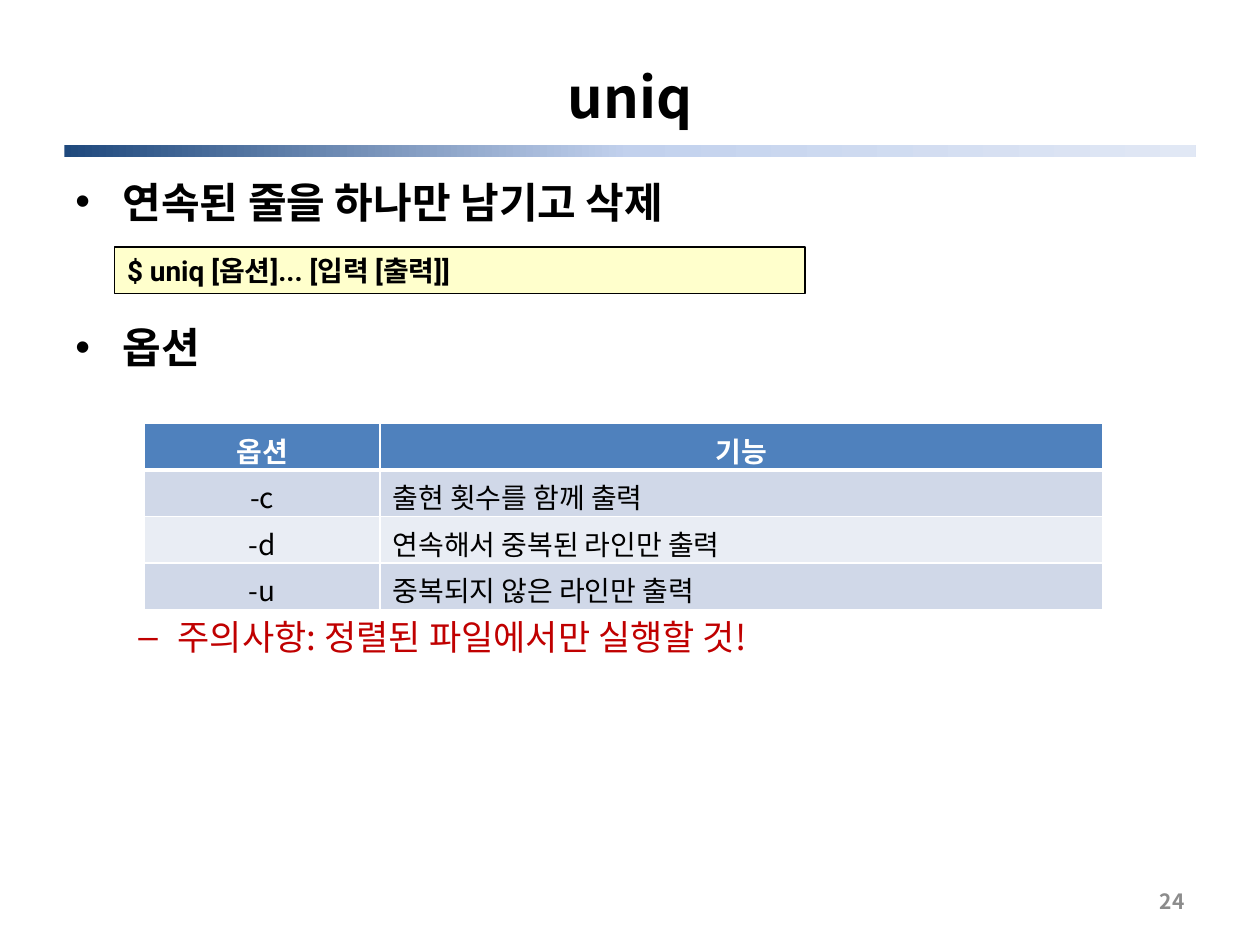
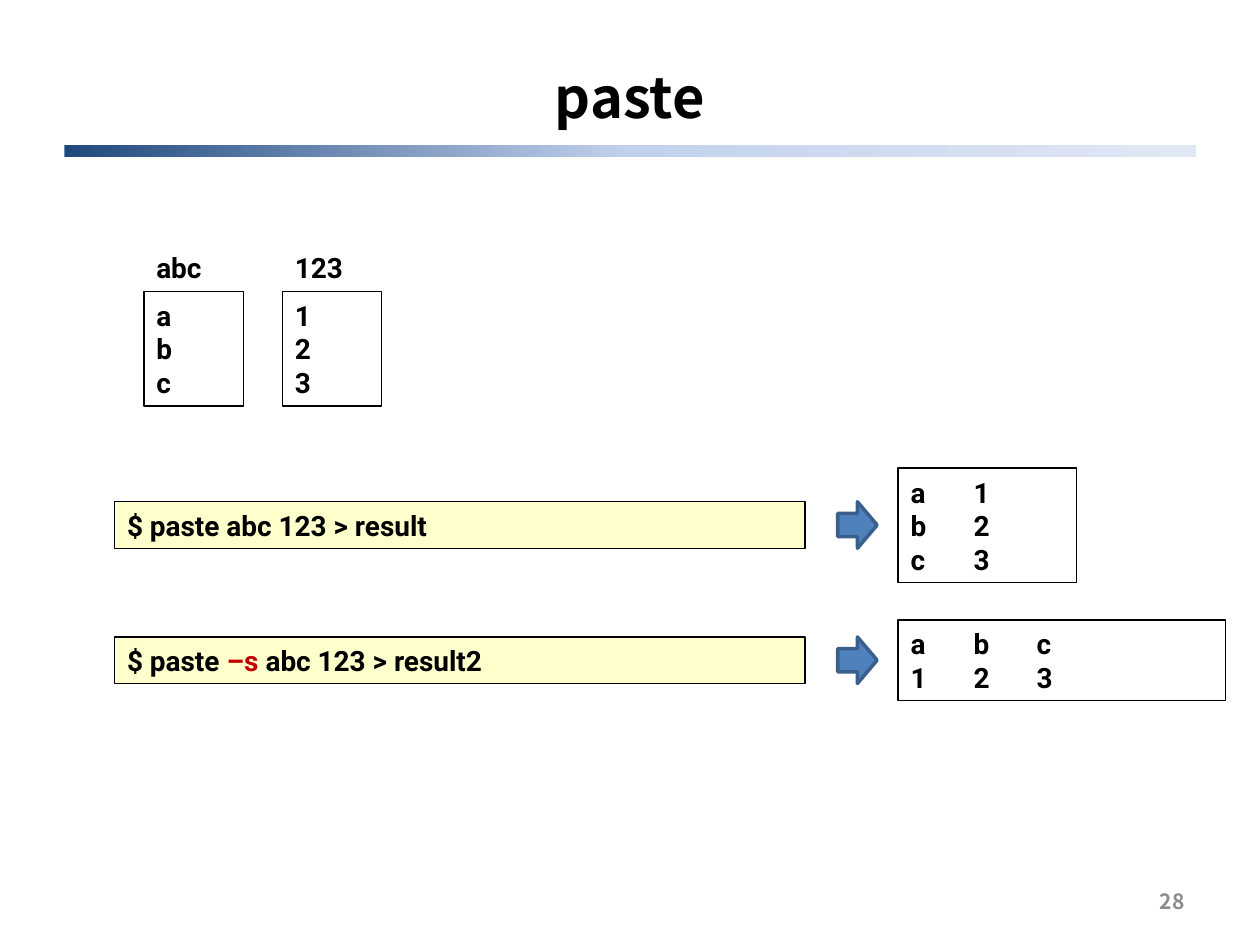
from copy import deepcopy
from lxml.etree import SubElement
from pptx import Presentation
from pptx.dml.color import RGBColor
from pptx.enum.shapes import MSO_SHAPE as Preset
from pptx.enum.text import MSO_ANCHOR as Anchor, PP_ALIGN as Align
from pptx.oxml.ns import qn
from pptx.util import Pt

rgb = RGBColor.from_string
SANS, CODE = "Noto Sans CJK KR", "Roboto"
BLACK, WHITE, RED, GREY = "000000", "FFFFFF", "C00000", "8C8C8C"
BLUE, BLUE_EDGE, CREAM = "4F81BD", "3A5F8C", "FFFFCC"
BAND_STOPS = [(0, "1F497D"), (0.5, "C2D1ED"), (1, "E1E8F5")]
COMMAND_LEFT, COMMAND_WIDTH, COMMAND_HEIGHT = 65.5, 394.5, 26.6


def add_text(paragraph, runs, size, font=SANS, bold=True, align=Align.LEFT):
    paragraph.alignment = align
    for text, color in runs:
        run = paragraph.add_run()
        run.text = text
        run.font.size = Pt(size)
        run.font.bold = bold
        run.font.name = font
        run.font.color.rgb = rgb(color)
        SubElement(run.font._element, qn("a:ea"), typeface=SANS)


def add_box(slide, preset, bounds, fill, line=BLACK, weight=0.75, lines=()):
    shape = slide.shapes.add_shape(preset, *map(Pt, bounds))
    shape.shadow.inherit = False
    if fill:
        shape.fill.solid()
        shape.fill.fore_color.rgb = rgb(fill)
    if line:
        shape.line.color.rgb = rgb(line)
        shape.line.width = Pt(weight)
    else:
        shape.line.fill.background()
    frame = shape.text_frame
    frame.vertical_anchor = Anchor.MIDDLE
    for index, runs in enumerate(lines):
        paragraph = frame.add_paragraph() if index else frame.paragraphs[0]
        add_text(paragraph, runs, 16, CODE)
    return shape


presentation = Presentation()
presentation.slide_width, presentation.slide_height = Pt(720), Pt(540)

slides = []
for title_text, number in [("uniq", "24"), ("paste", "28")]:
    slide = presentation.slides.add_slide(presentation.slide_layouts[5])
    slides.append(slide)

    band = add_box(slide, Preset.RECTANGLE, (36.75, 82.8, 646.5, 7.2), None, None)
    band.fill.gradient()
    band.fill.gradient_angle = 0
    stop_list = next(band.element.iter(qn("a:gsLst")))
    stop_list.insert(1, deepcopy(stop_list[0]))
    for stop, (position, color) in zip(band.fill.gradient_stops, BAND_STOPS):
        stop.position = position
        stop.color.rgb = rgb(color)

    title = slide.shapes.title
    title.left, title.top, title.width, title.height = map(Pt, (36, 21.6, 648, 67))
    title.text_frame.vertical_anchor = Anchor.MIDDLE
    add_text(title.text_frame.paragraphs[0], [(title_text, BLACK)], 32, align=Align.CENTER)

    footer = slide.shapes.add_textbox(*map(Pt, (516, 500.5, 168, 28.75))).text_frame
    footer.word_wrap = True
    footer.vertical_anchor = Anchor.MIDDLE
    add_text(footer.paragraphs[0], [(number, GREY)], 12, align=Align.RIGHT)

uniq_slide, paste_slide = slides

body = uniq_slide.shapes.add_textbox(*map(Pt, (36, 100, 648, 382.5))).text_frame
body.word_wrap = True
body.margin_top = Pt(0.6)
body_items = [
    ("연속된 줄을 하나만 남기고 삭제", 0, 24, BLACK, "•", 27, 27, 0),
    ("옵션", 0, 24, BLACK, "•", 27, 27, 54.4),
    ("주의사항: 정렬된 파일에서만 실행할 것!", 1, 20, RED, "–", 58.5, 22.5, 139.3),
]
for index, (text, level, size, color, bullet, margin, hanging, gap) in enumerate(body_items):
    paragraph = body.add_paragraph() if index else body.paragraphs[0]
    paragraph.level = level
    paragraph.space_before = Pt(gap)
    add_text(paragraph, [(text, color)], size, bold=level == 0)
    properties = paragraph._p.get_or_add_pPr()
    properties.set("marL", str(Pt(margin)))
    properties.set("indent", str(-Pt(hanging)))
    SubElement(properties, qn("a:buFont"), typeface="Arial")
    SubElement(properties, qn("a:buChar"), char=bullet)

options = [
    ("옵션", "기능"),
    ("-c", "출현 횟수를 함께 출력"),
    ("-d", "연속해서 중복된 라인만 출력"),
    ("-u", "중복되지 않은 라인만 출력"),
]
table = uniq_slide.shapes.add_table(4, 2, *map(Pt, (82.5, 242, 547.5, 106.5))).table
table.columns[0].width, table.columns[1].width = Pt(134.75), Pt(412.75)
for row, texts in enumerate(options):
    header = row == 0
    for column, text in enumerate(texts):
        cell = table.cell(row, column)
        cell.vertical_anchor = Anchor.MIDDLE
        align = Align.CENTER if header or column == 0 else Align.LEFT
        add_text(cell.text_frame.paragraphs[0], [(text, WHITE if header else BLACK)],
                 16, bold=header, align=align)
        cell_properties = cell._tc.get_or_add_tcPr()
        for side in ("lnL", "lnR", "lnT", "lnB"):
            thick = (header and side == "lnB") or (row == 1 and side == "lnT")
            border = SubElement(cell_properties, qn(f"a:{side}"), w=str(Pt(3 if thick else 1)))
            border_fill = SubElement(border, qn("a:solidFill"))
            SubElement(border_fill, qn("a:srgbClr"), val=WHITE)
        cell.fill.solid()
        cell.fill.fore_color.rgb = rgb(BLUE if header else ("E9EDF4", "D0D8E8")[row % 2])

file_columns = [(82.25, "abc", "abc"), (161.5, "123", "123")]
for left, name, values in file_columns:
    add_box(paste_slide, Preset.RECTANGLE, (left, 166.5, 56.75, 65.5), WHITE,
            lines=[[(value, BLACK)] for value in values])
    label = paste_slide.shapes.add_textbox(*map(Pt, (left, 139.75, 56.75, 26.6))).text_frame
    label.word_wrap = True
    label.vertical_anchor = Anchor.MIDDLE
    add_text(label.paragraphs[0], [(name, BLACK)], 16, CODE)

commands = [
    (uniq_slide, 141.25, [("$ uniq [옵션]... [입력 [출력]]", BLACK)]),
    (paste_slide, 286.75, [("$ paste abc 123 > result", BLACK)]),
    (paste_slide, 364, [("$ paste ", BLACK), ("–s ", RED), ("abc 123 > result2", BLACK)]),
]
for slide, top, runs in commands:
    add_box(slide, Preset.RECTANGLE, (COMMAND_LEFT, top, COMMAND_WIDTH, COMMAND_HEIGHT),
            CREAM, lines=[runs])
    if slide is paste_slide:
        add_box(slide, Preset.RIGHT_ARROW, (478.75, top, 22.5, COMMAND_HEIGHT),
                BLUE, BLUE_EDGE, 2)

results = [
    ((513.25, 267.5, 102, 65.5), ["a\t1", "b\t2", "c\t3"]),
    ((513.25, 354.25, 187.25, 46), ["a\tb\tc", "1\t2\t3"]),
]
for bounds, rows in results:
    add_box(paste_slide, Preset.RECTANGLE, bounds, WHITE,
            lines=[[(text, BLACK)] for text in rows])

presentation.save("out.pptx")
